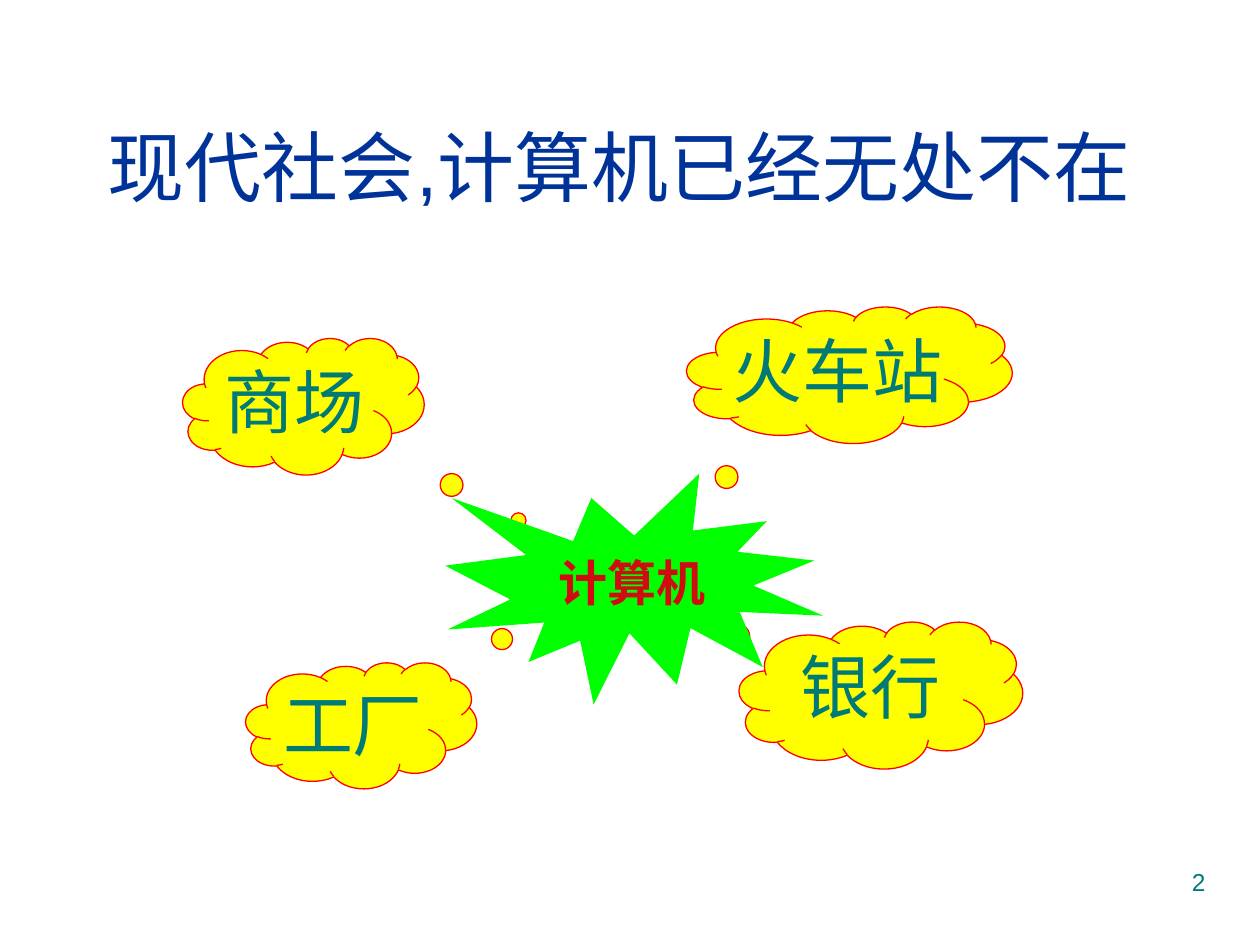
from dataclasses import dataclass

import pptx
import pptx.dml.color
import pptx.enum.shapes
import pptx.enum.text
import pptx.util

# Grid of 120 columns by 90 rows, twelve cells to the inch
COLUMNS, ROWS = 120, 90
CELL = pptx.util.Inches(10) // COLUMNS

BLUE, TEAL, RED = "003399", "007A77", "D00C11"
YELLOW, GREEN, OUTLINE = "FFFF00", "00FF00", "FF0000"

SHAPE = pptx.enum.shapes.MSO_SHAPE
ANCHOR = pptx.enum.text.MSO_ANCHOR
ALIGN = pptx.enum.text.PP_ALIGN


@dataclass
class Box:
    column: float
    row: float
    width: float
    height: float

    def lengths(self) -> list[int]:
        return [round(n * CELL) for n in (self.column, self.row, self.width, self.height)]


@dataclass
class Cloud:
    text: str
    box: Box
    tail: tuple[float, float]  # bubble tip, as shares of the cloud's size


CLOUDS = [
    Cloud("商场", Box(17.4, 32.2, 23, 13), (1.14, 1.07)),
    Cloud("火车站", Box(65.4, 29.2, 31, 13), (-0.7, 1.39)),
    Cloud("工厂", Box(23.4, 63.1, 22, 12), (1.19, -1.34)),
    Cloud("银行", Box(70.4, 59.2, 27, 14), (-0.76, -0.6)),
]


def colour(value: str) -> pptx.dml.color.RGBColor:
    return pptx.dml.color.RGBColor.from_string(value)


def write(shape, text: str, size: int, font: str, ink: str,
          align=ALIGN.CENTER, anchor=ANCHOR.TOP, bold: bool = False) -> None:
    frame = shape.text_frame
    frame.text = text
    frame.vertical_anchor = anchor
    paragraph = frame.paragraphs[0]
    paragraph.alignment = align
    paragraph.font.name = font
    paragraph.font.size = pptx.util.Pt(size)
    paragraph.font.bold = bold
    paragraph.font.color.rgb = colour(ink)


def add_filled(slide, kind, box: Box, fill: str):
    shape = slide.shapes.add_shape(kind, *box.lengths())
    shape.shadow.inherit = False
    shape.fill.solid()
    shape.fill.fore_color.rgb = colour(fill)
    shape.line.fill.background()
    frame = shape.text_frame
    frame.margin_left = frame.margin_top = frame.margin_right = frame.margin_bottom = 0
    return shape


def add_cloud(slide, cloud: Cloud) -> None:
    shape = add_filled(slide, SHAPE.CLOUD_CALLOUT, cloud.box, YELLOW)
    shape.line.color.rgb = colour(OUTLINE)
    shape.line.width = pptx.util.Pt(0.75)
    for index, share in enumerate(cloud.tail):
        shape.adjustments[index] = share
    write(shape, cloud.text, 40, "Times New Roman", TEAL)


def main() -> None:
    presentation = pptx.Presentation()
    presentation.slide_width = COLUMNS * CELL
    presentation.slide_height = ROWS * CELL
    slide = presentation.slides.add_slide(presentation.slide_layouts[5])

    # Title
    title = slide.shapes.title
    title.left, title.top, title.width, title.height = Box(8, 12.8, 102, 6).lengths()
    title.text_frame.auto_size = pptx.enum.text.MSO_AUTO_SIZE.NONE
    write(title, "现代社会,计算机已经无处不在", 44, "Arial", BLUE, anchor=ANCHOR.MIDDLE)

    # Slide number
    number = slide.shapes.add_textbox(*Box(86, 82, 30, 6.2).lengths())
    number.text_frame.word_wrap = True
    write(number, "2", 14, "Arial", TEAL, align=ALIGN.RIGHT)

    # Places where computers are used
    for cloud in CLOUDS:
        add_cloud(slide, cloud)

    # Computer in the centre, over the bubbles
    burst = add_filled(slide, SHAPE.EXPLOSION1, Box(42.4, 45.1, 36, 22), GREEN)
    burst.text_frame.word_wrap = False
    write(burst, "计算机", 28, "Times New Roman", RED, anchor=ANCHOR.MIDDLE, bold=True)

    presentation.save("out.pptx")


if __name__ == "__main__":
    main()
